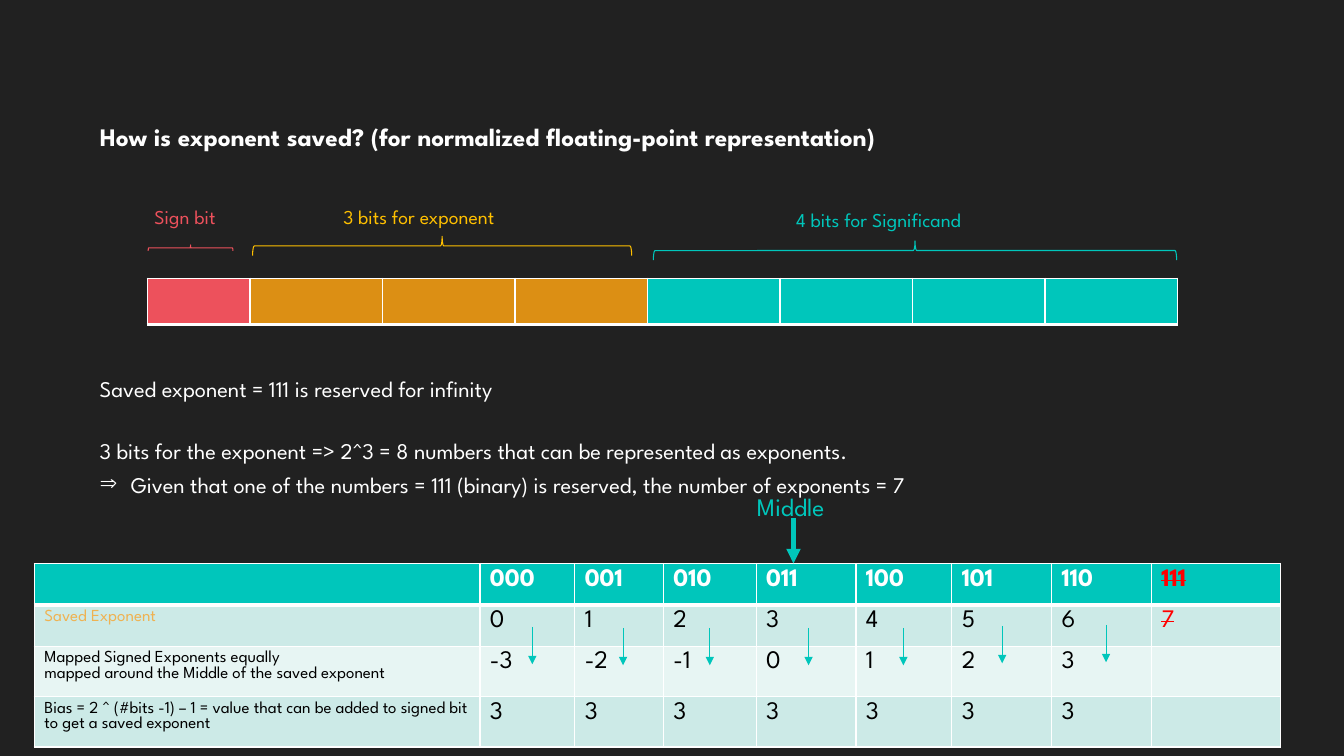
from lxml import etree
from pptx import Presentation
from pptx.dml.color import RGBColor
from pptx.enum.shapes import MSO_CONNECTOR as Connector, MSO_SHAPE as Shape
from pptx.enum.text import MSO_ANCHOR as Anchor, MSO_AUTO_SIZE as AutoSize, PP_ALIGN as Align
from pptx.oxml import parse_xml
from pptx.oxml.ns import nsdecls, qn
from pptx.util import Inches, Pt

COLORS = {
    "background": "212121", "white": "FFFFFF", "title": "FEFEFE", "black": "000000",
    "red": "ED515C", "orange": "DC8F14", "teal": "00C6BB", "yellow": "FFC000",
    "strike": "FF0000", "saved": "EFB251", "band": "CCEAE7", "light": "E7F5F3",
}


def rgb(name):
    return RGBColor.from_string(COLORS[name])


class SlideBuilder:
    font = "League Spartan"
    line_spacing = 1.3

    def __init__(self, page):
        self.page = page
        page.background.fill.solid()
        page.background.fill.fore_color.rgb = rgb("background")

    def add_run(self, para, text, size, color, bold=False, strike=False):
        span = para.add_run()
        span.text = text
        span.font.name = self.font
        span.font.size = Pt(size)
        span.font.bold = bold
        span.font.color.rgb = rgb(color)
        if strike:
            span.font._element.set("strike", "sngStrike")
        return span

    def title(self, text, left, top, width, height):
        box = self.page.shapes.title
        box.left, box.top, box.width, box.height = map(Inches, (left, top, width, height))
        frame = box.text_frame
        frame.auto_size = AutoSize.NONE
        frame.vertical_anchor = Anchor.BOTTOM
        para = frame.paragraphs[0]
        para.alignment = Align.LEFT
        span = self.add_run(para, text, 18, "title", bold=True)
        shadow = parse_xml(
            f'<a:effectLst {nsdecls("a")}><a:outerShdw blurRad="38100" dist="25400" dir="2700000">'
            '<a:srgbClr val="000000"><a:alpha val="70000"/></a:srgbClr></a:outerShdw></a:effectLst>')
        span.font._element.find(qn("a:solidFill")).addnext(shadow)

    def text(self, lines, left, top, width, height, size, color, align=Align.LEFT):
        """Each line is (text, space before in points, bullet or None)."""
        box = self.page.shapes.add_textbox(*map(Inches, (left, top, width, height)))
        frame = box.text_frame
        frame.word_wrap = True
        for index, (line, gap, bullet) in enumerate(lines):
            para = frame.add_paragraph() if index else frame.paragraphs[0]
            para.alignment = align
            para.line_spacing = self.line_spacing
            if gap:
                para.space_before = Pt(gap)
            if bullet:
                props = para._p.get_or_add_pPr()
                props.set("marL", str(Inches(0.31)))
                props.set("indent", str(Inches(-0.31)))
                etree.SubElement(props, qn("a:buChar")).set("char", bullet)
            self.add_run(para, line, size, color)

    def brace(self, left, top, width, height, color):
        brace = self.page.shapes.add_shape(
            Shape.LEFT_BRACE, *map(Inches, (left, top, width, height)))
        brace.rotation = 90
        brace.shadow.inherit = False
        brace.fill.solid()
        brace.fill.fore_color.rgb = rgb("background")
        brace.line.color.rgb = rgb(color)
        brace.line.width = Pt(0.75)

    def down_arrow(self, x, top, length, width):
        arrow = self.page.shapes.add_connector(
            Connector.STRAIGHT, Inches(x), Inches(top), Inches(x), Inches(top + length))
        arrow.line.color.rgb = rgb("teal")
        arrow.line.width = Pt(width)
        etree.SubElement(arrow.line._get_or_add_ln(), qn("a:tailEnd")).set("type", "triangle")
        etree.SubElement(arrow._element.spPr, qn("a:effectLst"))

    def table(self, left, top, widths, heights):
        frame = self.page.shapes.add_table(
            len(heights), len(widths), Inches(left), Inches(top),
            Inches(sum(widths)), Inches(sum(heights)))
        for column, width in zip(frame.table.columns, widths):
            column.width = Inches(width)
        for row, height in zip(frame.table.rows, heights):
            row.height = Inches(height)
        return frame.table

    def cell(self, cell, fill, bottom=1):
        props = cell._tc.get_or_add_tcPr()
        for side, width in (("L", 1), ("R", 1), ("T", 1), ("B", bottom)):
            props.append(parse_xml(
                f'<a:ln{side} {nsdecls("a")} w="{Pt(width)}"><a:solidFill>'
                f'<a:srgbClr val="{COLORS["white"]}"/></a:solidFill></a:ln{side}>'))
        cell.fill.solid()
        cell.fill.fore_color.rgb = rgb(fill)


def main():
    deck = Presentation()
    deck.slide_width, deck.slide_height = Inches(13.33), Inches(7.5)
    slide = SlideBuilder(deck.slides.add_slide(deck.slide_layouts[5]))

    slide.title("How is exponent saved? (for normalized floating-point representation)",
                0.89, 0.49, 11.56, 1.06)

    # Bit layout: one sign bit, three exponent bits, four significand bits
    bit_fills = ["red"] + ["orange"] * 3 + ["teal"] * 4
    bits = slide.table(1.46, 2.76, [1.02] + [9.2 / 7] * 7, [0.46])
    for cell, fill in zip(bits.rows[0].cells, bit_fills):
        slide.cell(cell, fill, bottom=3)

    # Braces and their labels
    fields = [
        ("Sign bit", "red", (1.86, 2.04, 0.06, 0.84), (1.36, 1.91, 0.95, 0.34)),
        ("3 bits for exponent", "yellow", (4.29, 0.56, 0.19, 3.76), (2.8, 1.91, 2.71, 0.34)),
        ("4 bits for Significand", "teal", (8.98, -0.11, 0.19, 5.19), (4.72, 1.94, 7.99, 0.34)),
    ]
    for label, color, brace_area, label_area in fields:
        slide.brace(*brace_area, color)
        slide.text([(label, 0, None)], *label_area, 14, color, Align.CENTER)

    # Explanation
    slide.text([
        ("Saved exponent = 111 is reserved for infinity", 0, None),
        ("3 bits for the exponent => 2^3 = 8 numbers that can be represented as exponents.",
         19.2, None),
        ("Given that one of the numbers = 111 (binary) is reserved, the number of exponents = 7",
         0, "⇒"),
    ], 0.89, 3.59, 11.56, 1.18, 16, "white")

    # Exponent table: row label, values, fill, label colour
    rows = [
        ([], [f"{number:03b}" for number in range(8)], "teal", "white"),
        (["Saved Exponent"], [str(number) for number in range(8)], "band", "saved"),
        (["Mapped Signed Exponents equally", "mapped around the Middle of the saved exponent"],
         [str(number - 3) for number in range(7)], "light", "black"),
        (["Bias = 2 ^ (#bits -1) – 1 = value that can be added to signed bit to get a saved exponent"],
         ["3"] * 7, "band", "black"),
    ]
    widths = [4.42, 0.94, 0.88, 0.92, 0.99, 0.95, 0.99, 0.99, 1.28]
    exponents = slide.table(0.34, 5.59, widths, [0.41, 0.41, 0.5, 0.5])
    for row, (label, values, fill, label_color) in enumerate(rows):
        header = row == 0
        for cell in exponents.rows[row].cells:
            slide.cell(cell, fill, bottom=3 if header else 1)
        frame = exponents.cell(row, 0).text_frame
        for index, line in enumerate(label):
            para = frame.add_paragraph() if index else frame.paragraphs[0]
            slide.add_run(para, line, 12, label_color)
        for column, value in enumerate(values, 1):
            reserved = column == 8
            color = "strike" if reserved else "white" if header else "black"
            para = exponents.cell(row, column).text_frame.paragraphs[0]
            slide.add_run(para, value, 18, color, bold=header, strike=reserved)

    # Middle marker and mapping arrows
    slide.down_arrow(7.87, 5.14, 0.45, 3.5)
    slide.text([("Middle", 0, None)], 7.41, 4.74, 1.07, 0.4, 18, "teal")
    arrow_tops = {5.28: 6.22, 6.18: 6.23, 7.04: 6.23, 8.02: 6.23, 8.96: 6.23, 9.94: 6.21, 10.97: 6.2}
    for x, top in arrow_tops.items():
        slide.down_arrow(x, top, 0.37, 0.75)

    deck.save("out.pptx")


if __name__ == "__main__":
    main()
